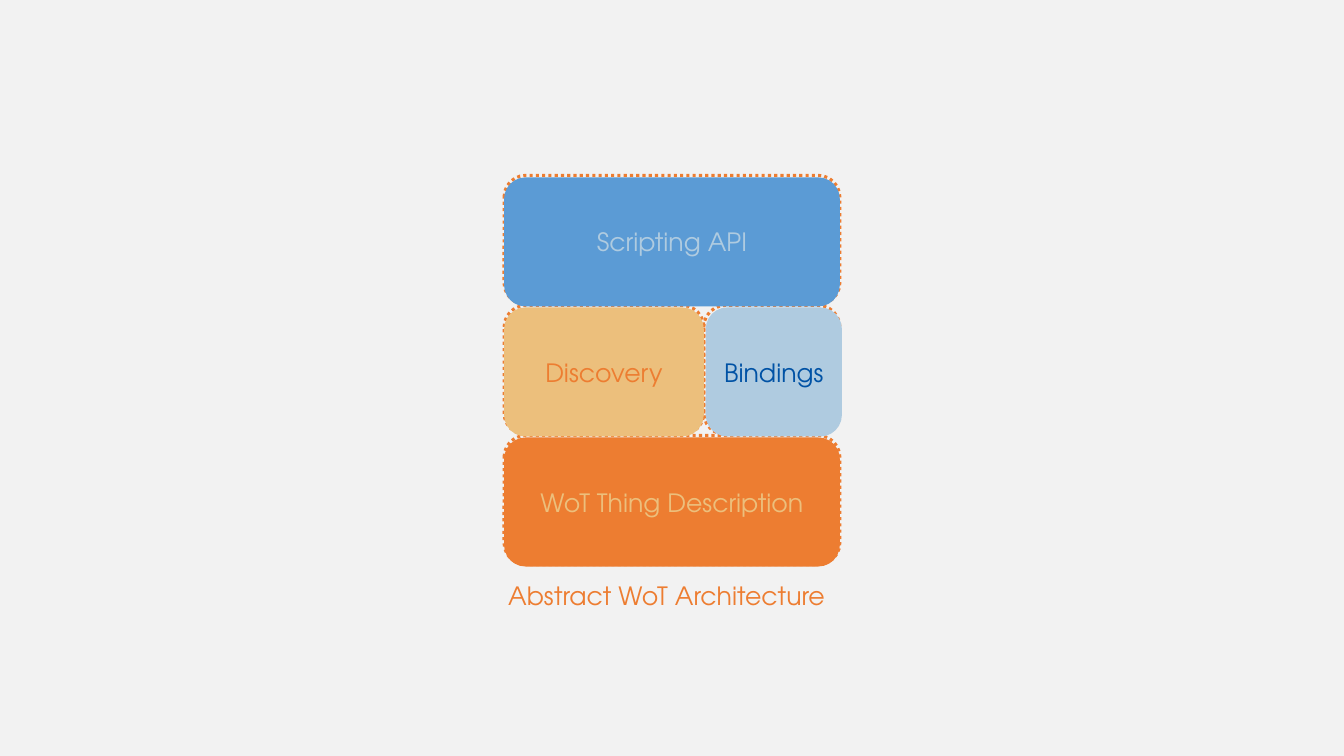
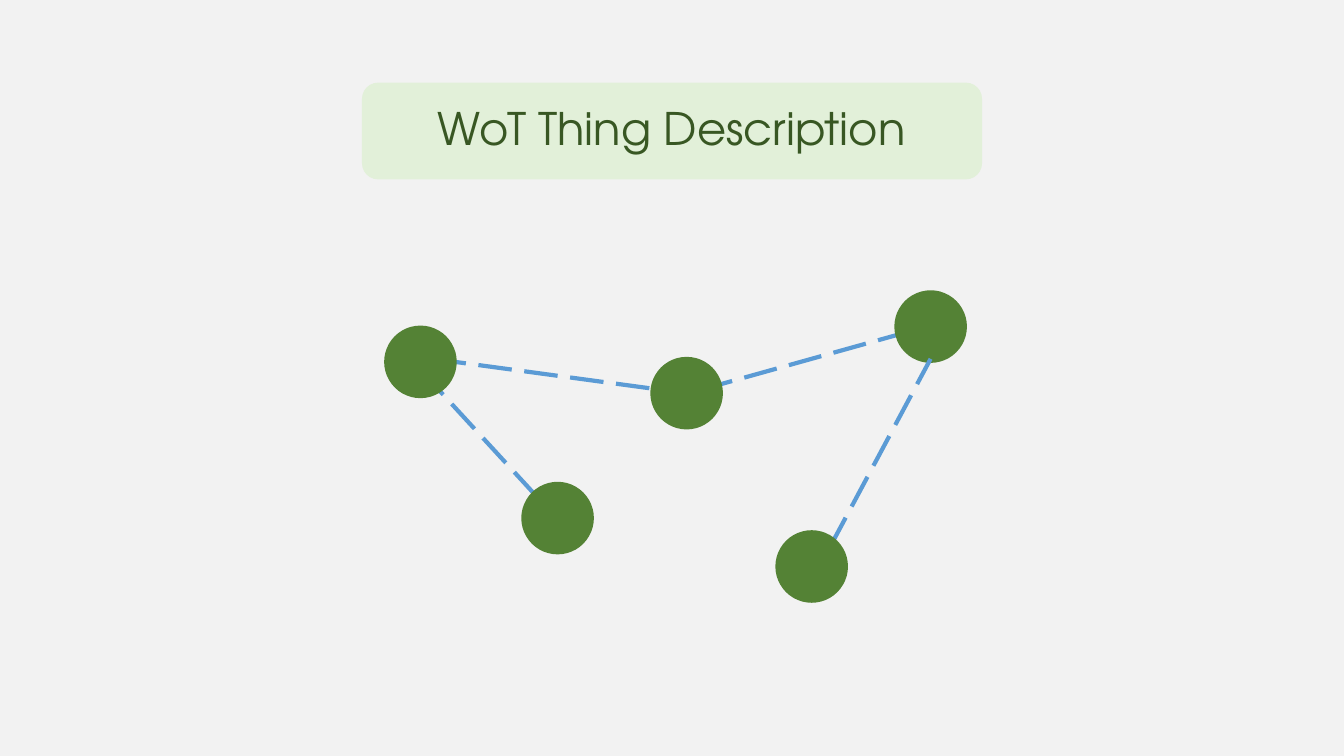
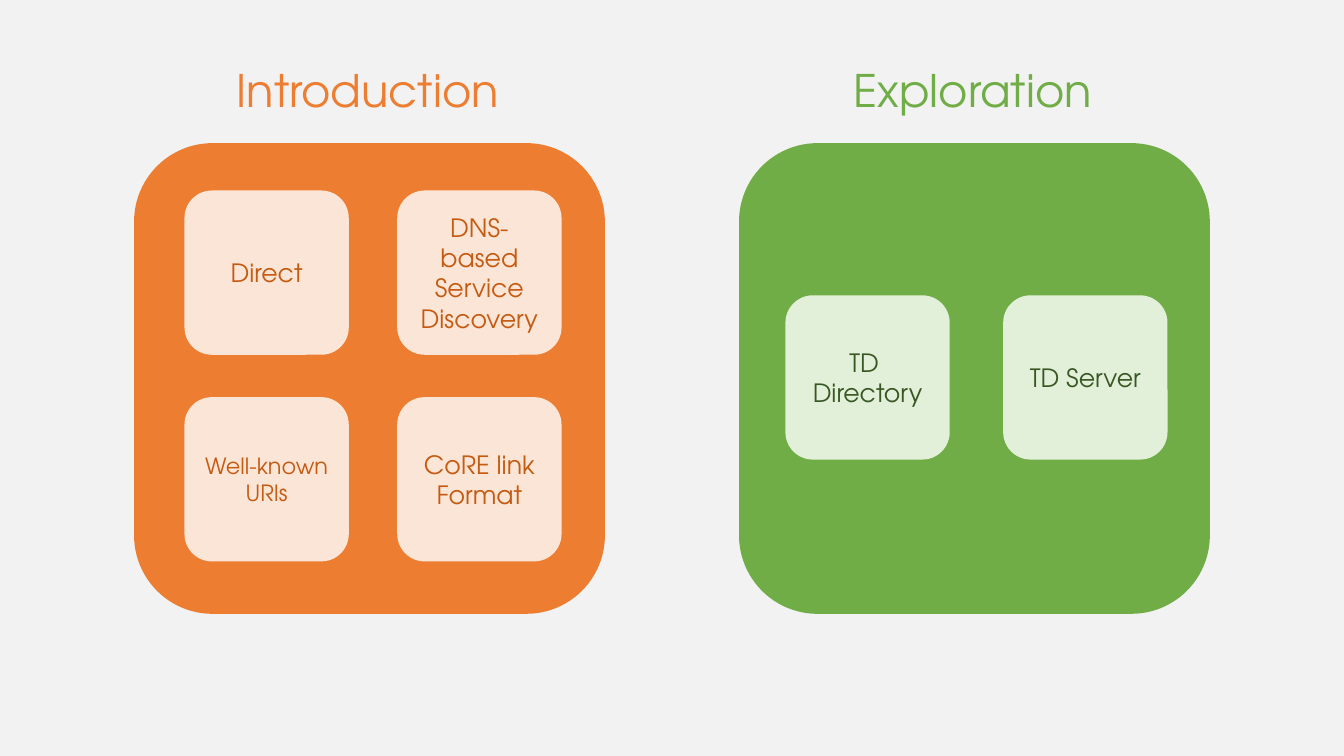
from lxml import etree
from pptx import Presentation
from pptx.dml.color import RGBColor
from pptx.enum import dml, shapes, text
from pptx.oxml.ns import qn
from pptx.util import Inches, Pt

FONT = "TeX Gyre Adventor"
COLORS = {
    "background": "F2F2F2",
    "orange": "ED7D31",
    "dark orange": "C55A11",
    "pale orange": "FBE5D6",
    "sand": "ECBF7C",
    "blue": "5B9BD5",
    "pale blue": "AFCBE0",
    "navy": "0052A5",
    "green": "70AD47",
    "mid green": "548235",
    "dark green": "385723",
    "pale green": "E2F0D9",
}
TITLE_ONLY, BLANK = 5, 6
ROUNDED = shapes.MSO_SHAPE.ROUNDED_RECTANGLE
OVAL = shapes.MSO_SHAPE.OVAL
LEFT, CENTER = text.PP_ALIGN.LEFT, text.PP_ALIGN.CENTER

STACK_TOP, ROW_PITCH, BLOCK_HEIGHT, OUTLINE_SHIFT = 1.76, 1.29, 1.28, 0.02
ARCHITECTURE = [
    ("WoT Thing Description", 5, 2, 3.33, "orange", "sand"),
    ("Discovery", 5, 1, 1.98, "sand", "orange"),
    ("Bindings", 7, 1, 1.35, "pale blue", "navy"),
    ("Scripting API", 5, 0, 3.33, "blue", "pale blue"),
]

NODE_SIZE = 0.72
NETWORK_LAYERS = [
    {
        "links": [(6.94, 3.87, 9.23, 3.23), (4.17, 3.67, 5.52, 5.14), (4.29, 3.56, 6.8, 3.9)],
        "nodes": [(3.81, 3.23), (5.17, 4.78), (6.45, 3.54), (8.87, 2.88)],
    },
    {"links": [(8.23, 5.43, 9.23, 3.56)], "nodes": [(7.69, 5.26)]},
]

PANEL_TOP, PANEL_SIZE, CARD_SIZE = 1.42, 4.67, 1.63
PHASES = [
    {
        "heading": "Introduction", "heading left": 2.25, "heading width": 2.84,
        "left": 1.33, "fill": "orange", "card fill": "pale orange", "ink": "dark orange",
        "origin": (1.83, 1.89), "pitch": (2.11, 2.05),
        "cards": [("Direct", 18), ("DNS-based Service Discovery", 18),
                  ("Well-known URIs", 16), ("CoRE link Format", 18)],
    },
    {
        "heading": "Exploration", "heading left": 8.37, "heading width": 2.6,
        "left": 7.33, "fill": "green", "card fill": "pale green", "ink": "dark green",
        "origin": (7.79, 2.93), "pitch": (2.16, 0),
        "cards": [("TD \nDirectory", 18), ("TD Server", 18)],
    },
]


def rgb(name):
    return RGBColor.from_string(COLORS[name])


def write(shape, words, size, color, align=CENTER, spacing=None, wrap=True):
    frame = shape.text_frame
    frame.text = words
    frame.word_wrap = wrap
    frame.auto_size = text.MSO_AUTO_SIZE.NONE
    frame.vertical_anchor = text.MSO_ANCHOR.MIDDLE
    for paragraph in frame.paragraphs:
        paragraph.alignment = align
        paragraph.line_spacing = spacing
        paragraph.font.name = FONT
        paragraph.font.size = Pt(size)
        paragraph.font.color.rgb = rgb(color)


def add_block(slide, preset, left, top, width, height, fill=None):
    block = slide.shapes.add_shape(preset, Inches(left), Inches(top), Inches(width), Inches(height))
    block.shadow.inherit = False
    block.line.fill.background()
    if fill:
        block.fill.solid()
        block.fill.fore_color.rgb = rgb(fill)
    else:
        block.fill.background()
    return block


def style_line(line, color, width, dash):
    line.color.rgb = rgb(color)
    line.width = Pt(width)
    line.dash_style = dash


def place_title(slide, words, left, top, width, height, size, color, align):
    title = slide.shapes.title
    title.left, title.top = Inches(left), Inches(top)
    title.width, title.height = Inches(width), Inches(height)
    write(title, words, size, color, align, 0.9)
    title.element.getparent().append(title.element)


def build_architecture(slide):
    for _, left, row, width, _, _ in ARCHITECTURE:
        outline = add_block(slide, ROUNDED, left - (OUTLINE_SHIFT if left > 5 else 0),
                            STACK_TOP + row * ROW_PITCH - OUTLINE_SHIFT, width, BLOCK_HEIGHT)
        style_line(outline.line, "orange", 2.25, dml.MSO_LINE.ROUND_DOT)
    for label, left, row, width, fill, ink in ARCHITECTURE:
        block = add_block(slide, ROUNDED, left, STACK_TOP + row * ROW_PITCH,
                          width, BLOCK_HEIGHT, fill)
        write(block, label, 18, ink)
    place_title(slide, "Abstract WoT Architecture", 4.94, 5.63, 3.45, 0.6, 18, "orange", LEFT)


def build_network(slide):
    add_block(slide, ROUNDED, 3.59, 0.82, 6.15, 0.96, "pale green")
    place_title(slide, "WoT Thing Description", 3.91, 0.97, 5.51, 0.66, 32, "dark green", CENTER)
    for layer in NETWORK_LAYERS:
        for ends in layer["links"]:
            link = slide.shapes.add_connector(shapes.MSO_CONNECTOR.STRAIGHT, *map(Inches, ends))
            style_line(link.line, "blue", 3, dml.MSO_LINE.LONG_DASH)
            etree.SubElement(link.element.spPr, qn("a:effectLst"))
        for left, top in layer["nodes"]:
            add_block(slide, OVAL, left, top, NODE_SIZE, NODE_SIZE, "mid green")


def build_phases(slide):
    for phase in PHASES:
        add_block(slide, ROUNDED, phase["left"], PANEL_TOP, PANEL_SIZE, PANEL_SIZE, phase["fill"])
        heading = slide.shapes.add_textbox(Inches(phase["heading left"]), Inches(0.63),
                                           Inches(phase["heading width"]), Inches(0.59))
        write(heading, phase["heading"], 32, phase["fill"], LEFT, 0.9, wrap=False)
        left, top = phase["origin"]
        across, down = phase["pitch"]
        for index, (label, size) in enumerate(phase["cards"]):
            row, column = divmod(index, 2)
            card = add_block(slide, ROUNDED, left + column * across, top + row * down,
                             CARD_SIZE, CARD_SIZE, phase["card fill"])
            write(card, label, size, phase["ink"])


def main():
    deck = Presentation()
    deck.slide_width, deck.slide_height = Inches(13.33), Inches(7.5)
    background = deck.slide_master.background.fill
    background.solid()
    background.fore_color.rgb = rgb("background")
    for layout, build in [(TITLE_ONLY, build_architecture), (TITLE_ONLY, build_network),
                          (BLANK, build_phases)]:
        build(deck.slides.add_slide(deck.slide_layouts[layout]))
    deck.save("out.pptx")


if __name__ == "__main__":
    main()
